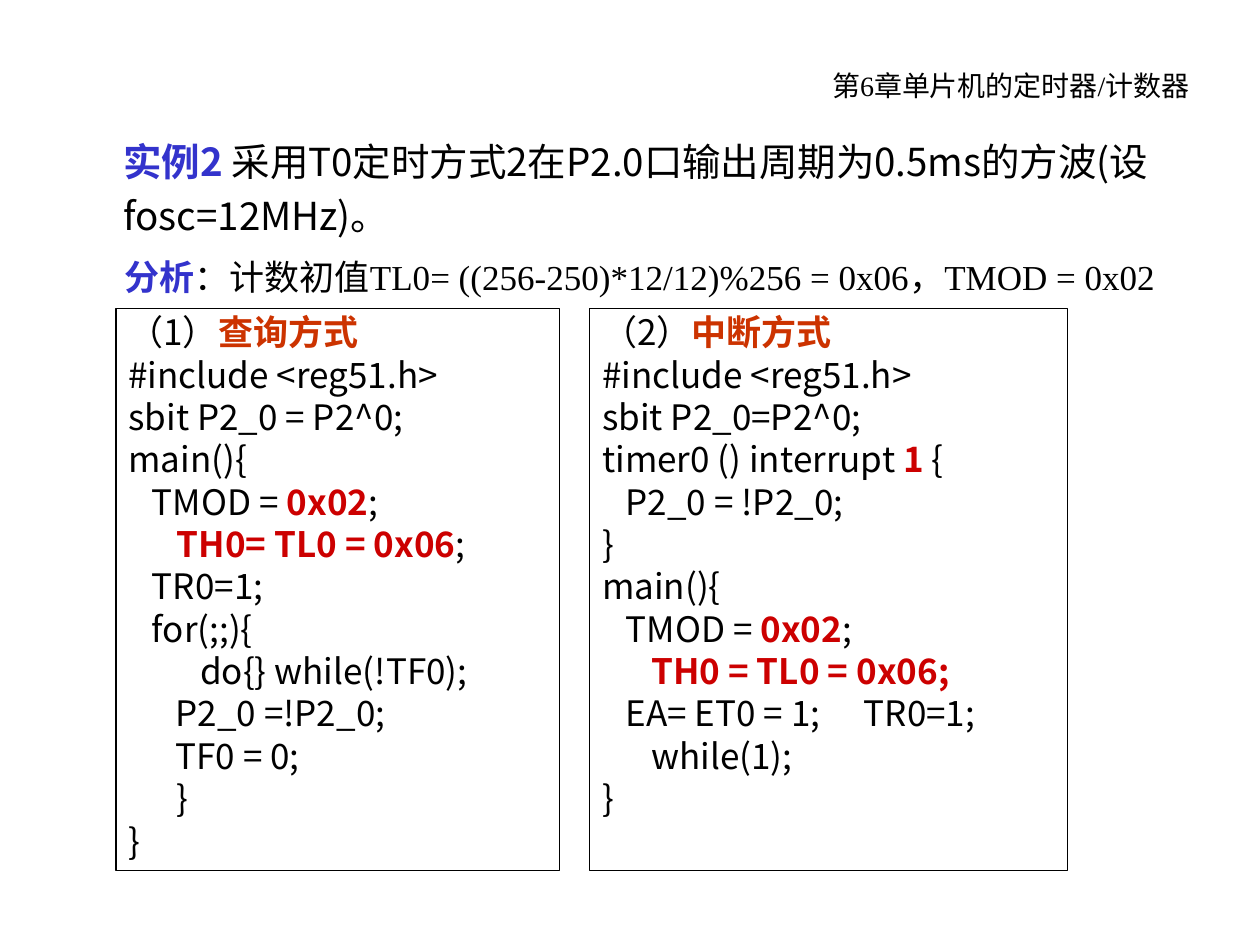
from lxml.etree import SubElement
from pptx import Presentation
from pptx.dml.color import RGBColor
from pptx.enum.shapes import MSO_SHAPE
from pptx.enum.text import MSO_ANCHOR, PP_ALIGN
from pptx.oxml.ns import qn
from pptx.util import Cm, Pt

BLACK = RGBColor(0x00, 0x00, 0x00)
BLUE = RGBColor(0x33, 0x33, 0xCC)
ORANGE = RGBColor(0xCC, 0x33, 0x00)
RED = RGBColor(0xCC, 0x00, 0x00)
SANS = "Noto Sans CJK SC"
SERIF = "Times New Roman"
TAB = Cm(2.54)


class SlideStyle:
    """Text style and drawing methods for the current slide."""

    def __init__(self, s):
        self.s = s

    def add_run(self, p, text, size, font, color=BLACK):
        """Coloured text is bold, black text is regular."""
        r = p.add_run()
        r.text = text
        r.font.size = Pt(size)
        r.font.bold = color != BLACK
        r.font.color.rgb = color
        r.font.name = font
        SubElement(r.font._element, qn("a:ea"), typeface=SANS)

    def add_tabs(self, p, indent):
        pPr = p._p.get_or_add_pPr()
        pPr.set("marL", str(indent))
        pPr.set("indent", str(-indent))
        tabs = SubElement(pPr, qn("a:tabLst"))
        for i in range(8):
            SubElement(tabs, qn("a:tab"), pos=str(i * TAB), algn="l")

    def text(self, box, runs, size, font, pitch, align=PP_ALIGN.LEFT):
        tf = self.s.shapes.add_textbox(*map(Cm, box)).text_frame
        tf.word_wrap = True
        p = tf.paragraphs[0]
        p.alignment = align
        p.line_spacing = Pt(pitch)
        for run in runs:
            self.add_run(p, run[0], size, font, *run[1:])

    def code(self, box, lines, indent):
        sp = self.s.shapes.add_shape(MSO_SHAPE.RECTANGLE, *map(Cm, box))
        sp.shadow.inherit = False
        sp.fill.background()
        sp.line.color.rgb = BLACK
        sp.line.width = Pt(0.75)
        tf = sp.text_frame
        tf.word_wrap = True
        tf.vertical_anchor = MSO_ANCHOR.TOP
        for i, line in enumerate(lines):
            p = tf.add_paragraph() if i else tf.paragraphs[0]
            self.add_tabs(p, Cm(indent))
            p.alignment = PP_ALIGN.LEFT
            p.line_spacing = Pt(21.7)
            p.space_before = Pt(2.5 if i else 0)
            for run in line:
                self.add_run(p, run[0], 20, SANS, *run[1:])


POLLING = [
    [("（1）",), ("查询方式", ORANGE)],
    [("#include <reg51.h>",)],
    [("sbit P2_0 = P2^0;",)],
    [("main(){",)],
    [("   TMOD = ",), ("0x02", RED), (";",)],
    [("\t",), ("TH0= TL0 = 0x06", RED), (";",)],
    [("   TR0=1;",)],
    [("   for(;;){",)],
    [("\t   do{} while(!TF0);",)],
    [("      P2_0 =!P2_0;",)],
    [("      TF0 = 0;",)],
    [("\t}",)],
    [("}",)],
]

INTERRUPT = [
    [("（2）",), ("中断方式", ORANGE)],
    [("#include <reg51.h>",)],
    [("sbit P2_0=P2^0;",)],
    [("timer0 () interrupt ",), ("1", RED), (" {",)],
    [("   P2_0 = !P2_0;",)],
    [("}",)],
    [("main(){",)],
    [("   TMOD = ",), ("0x02", RED), (";",)],
    [("\t",), ("TH0 = TL0 = 0x06;", RED)],
    [("   EA= ET0 = 1; \t   TR0=1;",)],
    [("\twhile(1);",)],
    [("}",)],
]


def main():
    prs = Presentation()
    prs.slide_width, prs.slide_height = Cm(25.4), Cm(19.05)
    slide = SlideStyle(prs.slides.add_slide(prs.slide_layouts[6]))

    # Two program listings side by side
    slide.code((2.34, 6.22, 8.94, 11.33), POLLING, 0.97)
    slide.code((11.89, 6.22, 9.63, 11.33), INTERRUPT, 0.99)

    # Task and analysis
    slide.text((2.24, 2.49, 21.41, 2.41),
               [("实例2 ", BLUE),
                ("采用T0定时方式2在P2.0口输出周期为0.5ms的方波(设fosc=12MHz)。",)],
               22, SANS, 30.9)
    slide.text((2.26, 4.95, 22.43, 1.12),
               [("分析", BLUE),
                ("：计数初值TL0= ((256-250)*12/12)%256 = 0x06，TMOD = 0x02",)],
               20, SERIF, 26)

    # Chapter header
    slide.text((16.08, 1.22, 8.59, 0.94), [("第6章单片机的定时器/计数器",)],
               16, SERIF, 20.5, PP_ALIGN.CENTER)

    prs.save("out.pptx")


if __name__ == "__main__":
    main()
